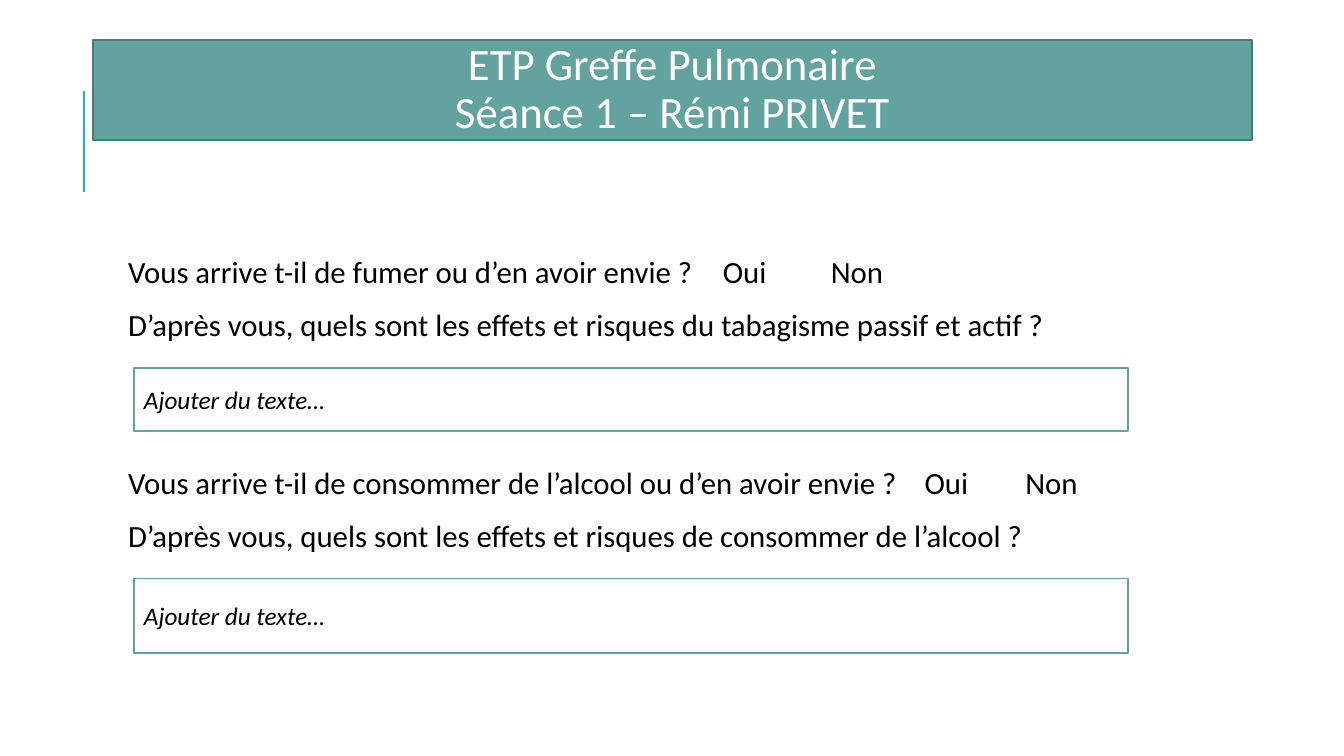
from lxml import etree
from pptx import Presentation
from pptx.dml.color import RGBColor
from pptx.enum.shapes import MSO_CONNECTOR, MSO_SHAPE
from pptx.enum.text import MSO_ANCHOR, PP_ALIGN
from pptx.oxml.ns import qn
from pptx.util import Pt

PX = 9144  # 100 px to the inch
RECTANGLE = MSO_SHAPE.RECTANGLE
STRAIGHT = MSO_CONNECTOR.STRAIGHT
MIDDLE, TOP = MSO_ANCHOR.MIDDLE, MSO_ANCHOR.TOP
CENTER, LEFT = PP_ALIGN.CENTER, PP_ALIGN.LEFT

FONT = "Calibri"
COLORS = {
    "teal": "62A39F",
    "teal_edge": "497976",
    "accent": "1CADE4",
    "white": "FFFFFF",
    "black": "000000",
}

# Top of the block, answer box offset and height, tab stops, question lines
QUESTIONS = [
    (250, 115, 63, (590, 697),
     ["Vous arrive t-il de fumer ou d’en avoir envie ?\tOui\tNon",
      "D’après vous, quels sont les effets et risques du tabagisme passif et actif ?"]),
    (459, 115, 74, (790, 890),
     ["Vous arrive t-il de consommer de l’alcool ou d’en avoir envie ?\tOui\tNon",
      "D’après vous, quels sont les effets et risques de consommer de l’alcool ?"]),
]


def color(name):
    return RGBColor.from_string(COLORS[name])


def emu(*lengths):
    return [length * PX for length in lengths]


def format_runs(paragraph, size, color_name, italic=False):
    for run in paragraph.runs:
        run.font.name = FONT
        run.font.size = Pt(size)
        run.font.italic = italic
        run.font.color.rgb = color(color_name)


def add_panel(slide, box, fill, edge, text, size, text_color, align, italic=False):
    panel = slide.shapes.add_shape(RECTANGLE, *emu(*box))
    panel.shadow.inherit = False
    panel.fill.solid()
    panel.fill.fore_color.rgb = color(fill)
    panel.line.color.rgb = color(edge)
    panel.line.width = Pt(1.25)
    panel.text_frame.word_wrap = True
    panel.text_frame.vertical_anchor = MIDDLE
    paragraph = panel.text_frame.paragraphs[0]
    paragraph.text = text
    paragraph.alignment = align
    format_runs(paragraph, size, text_color, italic)
    return paragraph


def add_tab_stops(paragraph, stops):
    tab_list = etree.SubElement(paragraph._p.get_or_add_pPr(), qn("a:tabLst"))
    for stop in stops:
        etree.SubElement(tab_list, qn("a:tab"), pos=str(stop * PX), algn="l")


def add_header(slide, left, top, width, height):
    # Accent line beside the banner
    line_x, line_top = left - 9, top + 50
    accent = slide.shapes.add_connector(
        STRAIGHT, *emu(line_x, line_top, line_x, line_top + 100))
    accent.line.color.rgb = color("accent")
    accent.line.width = Pt(1.5)
    etree.SubElement(accent._element.spPr, qn("a:effectLst"))

    # Title banner
    title = add_panel(slide, (left, top, width, height), "teal", "teal_edge",
                      "ETP Greffe Pulmonaire\vSéance 1 – Rémi PRIVET",
                      32, "white", CENTER)
    title.line_spacing = 0.9


def add_question(slide, left, top, width, answer_offset, answer_height, stops, lines):
    # Question lines
    question = slide.shapes.add_textbox(*emu(left, top, width, answer_offset - 5))
    frame = question.text_frame
    frame.word_wrap = True
    frame.vertical_anchor = TOP
    frame.margin_left, frame.margin_top, frame.margin_right, frame.margin_bottom = emu(15, 5, 5, 5)
    frame.text = "\n".join(lines)
    add_tab_stops(frame.paragraphs[0], stops)
    for index, paragraph in enumerate(frame.paragraphs):
        paragraph.line_spacing = 0.9
        paragraph.space_before = Pt(12 if index else 0)
        paragraph.space_after = Pt(2)
        format_runs(paragraph, 22, "black")

    # Answer box
    answer_box = (left + 21, top + answer_offset, width - 77, answer_height)
    add_panel(slide, answer_box, "white", "teal", "Ajouter du texte…",
              18, "black", LEFT, italic=True)


def main():
    presentation = Presentation()
    presentation.slide_width, presentation.slide_height = emu(1333, 750)
    slide = presentation.slides.add_slide(presentation.slide_layouts[6])
    add_header(slide, 92, 40, 1150, 99)
    for top, answer_offset, answer_height, stops, lines in QUESTIONS:
        add_question(slide, 112, top, 1063, answer_offset, answer_height, stops, lines)
    presentation.save("out.pptx")


if __name__ == "__main__":
    main()
